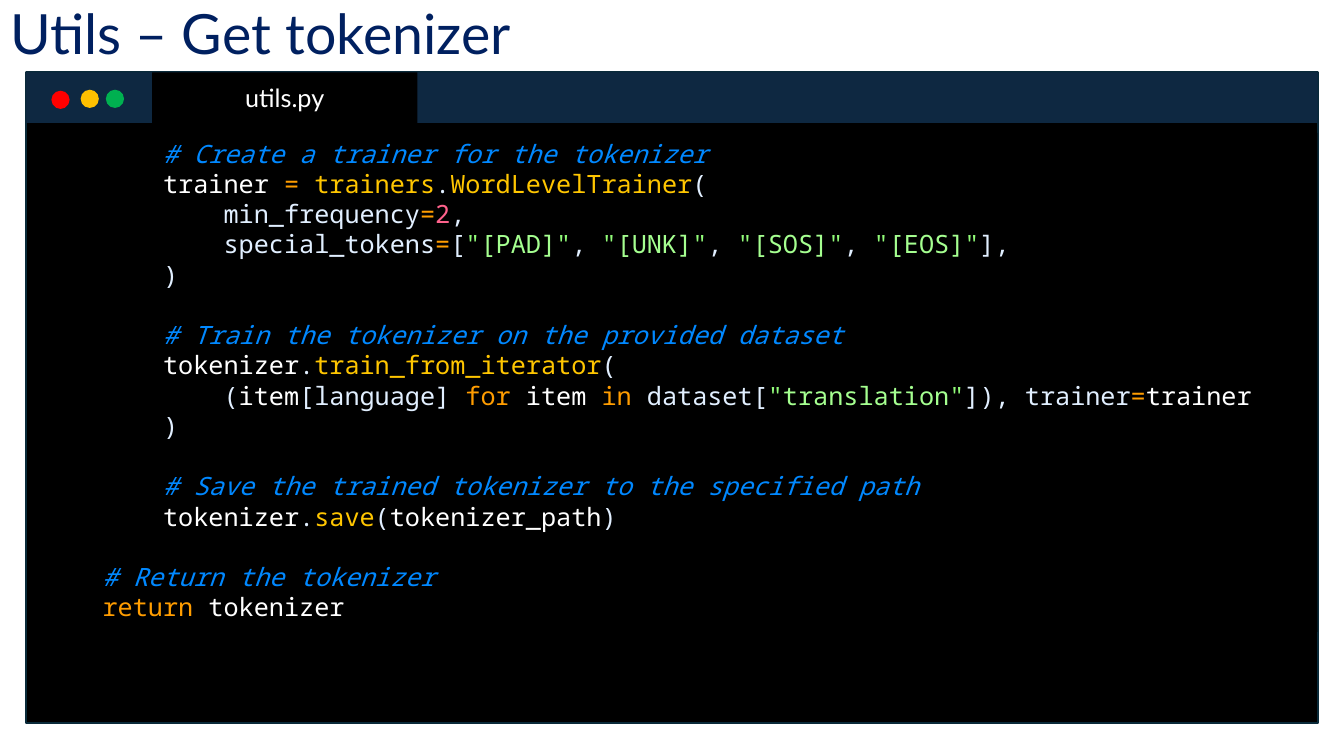
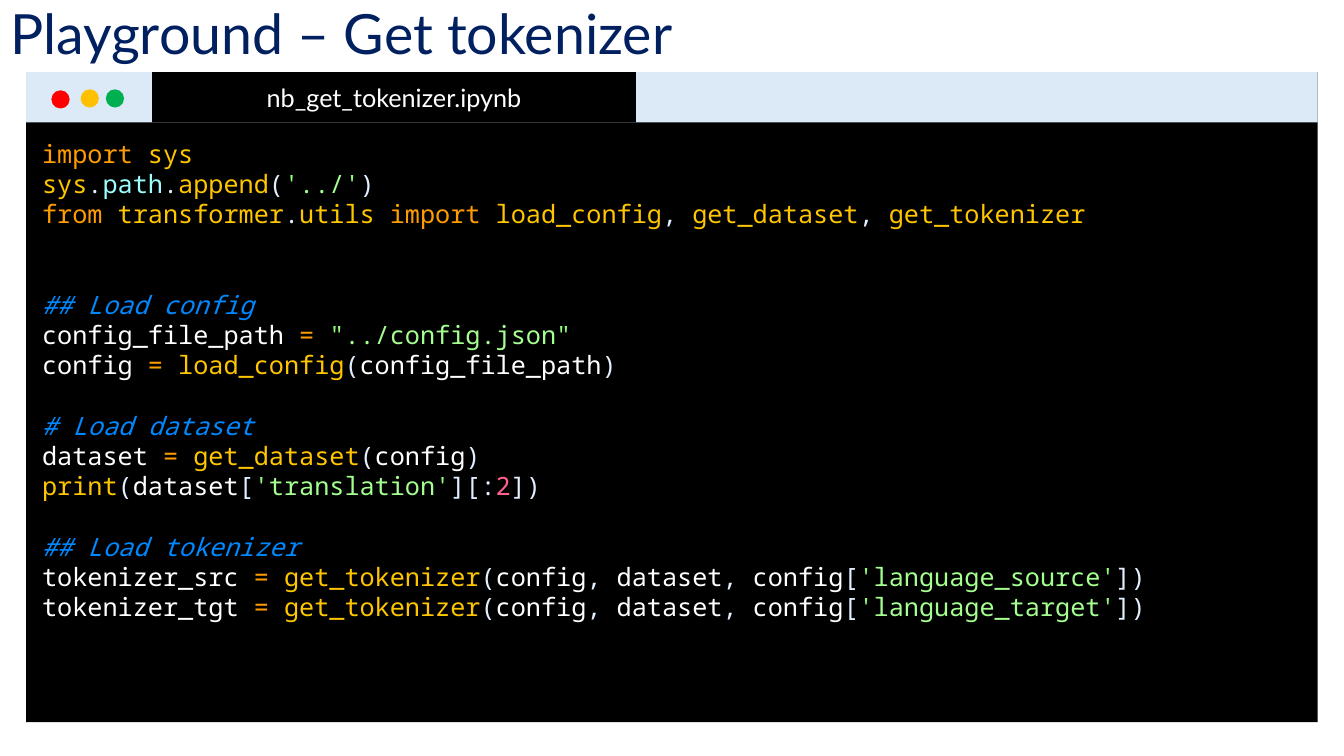
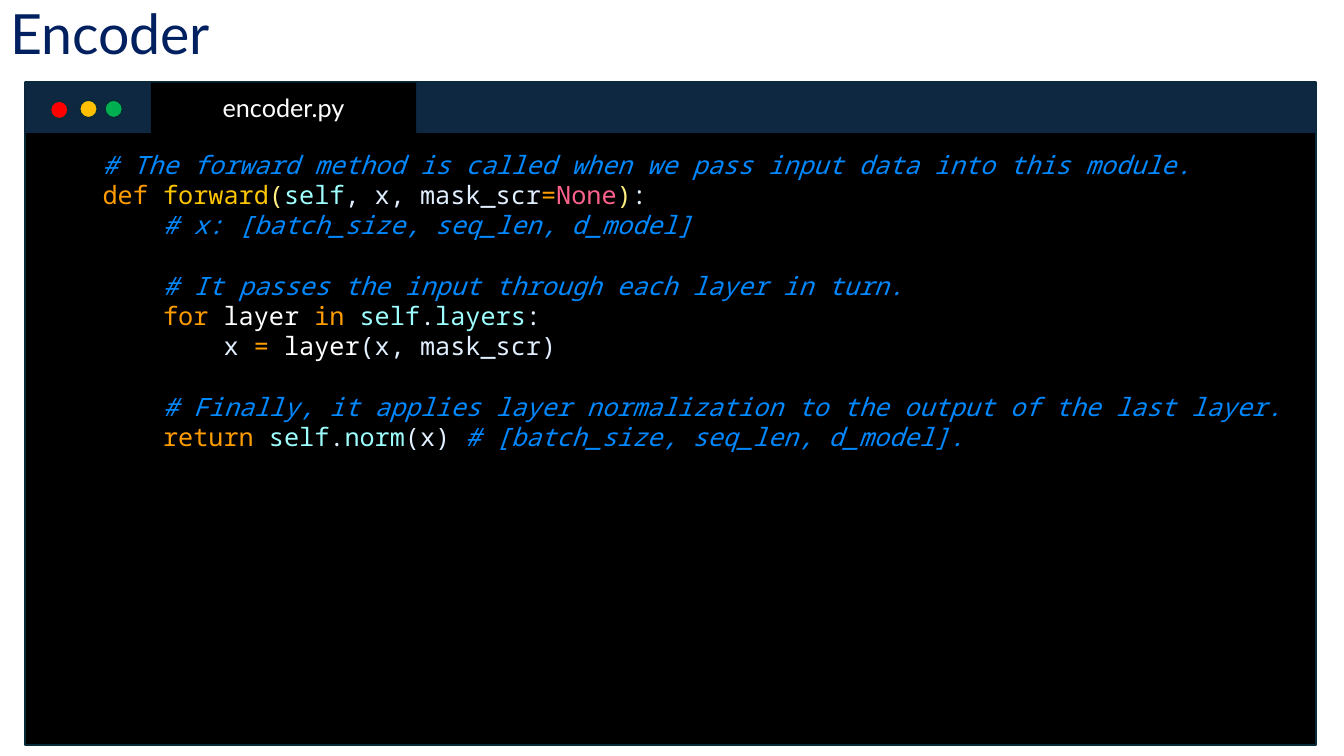
from dataclasses import dataclass
from typing import Any, Iterator, Optional

from pptx import Presentation
from pptx.dml.color import RGBColor
from pptx.enum.shapes import MSO_SHAPE
from pptx.enum.text import MSO_ANCHOR, MSO_AUTO_SIZE, PP_ALIGN
from pptx.util import Pt

BLACK = "000000"
WHITE = "FFFFFF"
NAVY = "0E2841"
PALE_BLUE = "DCEAF7"
BORDER = "092A39"
TITLE_COLOUR = "002060"
QUOTE_COLOUR = "92FC79"
ROLE_COLOURS = {
    "comment": "0088FF",
    "keyword": "FF9D00",
    "function": "FFC600",
    "member": "9EFFFF",
    "name": WHITE,
    "plain": "E1EFFF",
    "bracket": "FFEE80",
    "number": "FF628C",
    "string": "A5FF90",
}

TITLE_FONT = {"name": "Lato", "size": Pt(39.6), "bold": False}
TAB_FONT = {"name": "Lato", "size": Pt(18)}
CODE_FONT = {"name": "Noto Sans Mono", "size": Pt(18)}
TITLE_FRAME = {
    "word_wrap": True,
    "auto_size": MSO_AUTO_SIZE.NONE,
    "vertical_anchor": MSO_ANCHOR.MIDDLE,
}
TAB_FRAME = {"word_wrap": True, "vertical_anchor": MSO_ANCHOR.MIDDLE}
CODE_FRAME = {"word_wrap": True, "vertical_anchor": MSO_ANCHOR.TOP}
LINE_PITCH = 21.6
BAR_HEIGHT = 36
TAB_OFFSET = 90
DOT_SIZE = 13


@dataclass
class Box:
    left: float
    top: float
    width: float
    height: float

    def lengths(self) -> tuple:
        return Pt(self.left), Pt(self.top), Pt(self.width), Pt(self.height)


@dataclass
class Dot:
    left: float
    top: float
    colour: str


@dataclass
class CodeSlide:
    title: str
    title_width: float
    file_name: str
    window: Box
    tab_width: float
    code_box: Box
    code: list
    bar_colour: str = NAVY
    border: Optional[str] = BORDER
    dot_border: Optional[str] = None


DOTS = [
    Dot(18, 13, "FF0000"),
    Dot(38.9, 12.3, "FFC000"),
    Dot(56.9, 12.3, "00B050"),
]

TRAIN_CODE = [
    '        {comment}# Create a trainer for the tokenizer',
    '        {name}trainer {keyword}= {function}trainers{plain}.{function}WordLevelTrainer{plain}(',
    '            {plain}min_frequency{keyword}={number}2{plain},',
    '            {plain}special_tokens{keyword}={plain}[{string}"[PAD]"{plain}, {string}"[UNK]"'
    '{plain}, {string}"[SOS]"{plain}, {string}"[EOS]"{plain}],',
    '        {plain})',
    '',
    '        {comment}# Train the tokenizer on the provided dataset',
    '        {name}tokenizer{plain}.{function}train_from_iterator{plain}(',
    '            {plain}({name}item{plain}[language] {keyword}for {name}item {keyword}in '
    '{plain}dataset[{string}"translation"{plain}]), trainer{keyword}={name}trainer',
    '        {plain})',
    '',
    '        {comment}# Save the trained tokenizer to the specified path',
    '        {name}tokenizer{plain}.{function}save{plain}({name}tokenizer_path{plain})',
    '',
    '    {comment}# Return the tokenizer',
    '    {keyword}return{name} tokenizer',
]

PLAYGROUND_CODE = [
    "{keyword}import {function}sys",
    "{function}sys{plain}.{member}path{plain}.{function}append{plain}({string}'../'{plain})",
    "{keyword}from {function}transformer{plain}.{function}utils {keyword}import "
    "{function}load_config{plain}, {function}get_dataset{plain}, {function}get_tokenizer",
    "",
    "",
    "{comment}## Load config",
    '{name}config_file_path {keyword}= {string}"../config.json"',
    "{name}config {keyword}= {function}load_config{plain}({name}config_file_path{plain})",
    "",
    "{comment}# Load dataset",
    "{name}dataset {keyword}= {function}get_dataset{plain}({name}config{plain})",
    "{function}print{plain}({name}dataset{plain}[{string}'translation'{plain}][:{number}2{plain}])",
    "",
    "{comment}## Load tokenizer",
    "{name}tokenizer_src {keyword}= {function}get_tokenizer{plain}({name}config{plain}, "
    "{name}dataset{plain}, {name}config{plain}[{string}'language_source'{plain}])",
    "{name}tokenizer_tgt {keyword}= {function}get_tokenizer{plain}({name}config{plain}, "
    "{name}dataset{plain}, {name}config{plain}[{string}'language_target'{plain}])",
]

ENCODER_CODE = [
    "    {comment}# The forward method is called when we pass input data into this module.",
    "    {keyword}def {function}forward{bracket}({member}self{plain}, x, mask_scr{keyword}="
    "{number}None{bracket}){plain}:",
    "        {comment}# x: [batch_size, seq_len, d_model]",
    "",
    "        {comment}# It passes the input through each layer in turn.",
    "        {keyword}for{name} layer {keyword}in {member}self{plain}.{member}layers{plain}:",
    "            {plain}x {keyword}={name} layer{plain}(x, mask_scr)",
    "",
    "        {comment}# Finally, it applies layer normalization to the output of the last layer.",
    "        {keyword}return {member}self{plain}.{member}norm{plain}(x) "
    "{comment}# [batch_size, seq_len, d_model].",
]

CODE_SLIDES = [
    CodeSlide(
        "Utils – Get tokenizer", 399.6, "utils.py",
        Box(18.7, 51.8, 922.5, 464.4), 189.4,
        Box(23, 95, 918, 356.4), TRAIN_CODE,
    ),
    CodeSlide(
        "Playground – Get tokenizer", 553.7, "nb_get_tokenizer.ipynb",
        Box(18.7, 51.5, 922.5, 464.4), 345.6,
        Box(23, 95, 910.8, 356.4), PLAYGROUND_CODE,
        bar_colour=PALE_BLUE, border=None,
    ),
    CodeSlide(
        "Encoder", 188.6, "encoder.py",
        Box(17.8, 59, 922.5, 473), 189.4,
        Box(23, 103, 913, 225.4), ENCODER_CODE,
        dot_border=BORDER,
    ),
]


def colour(value: str) -> RGBColor:
    return RGBColor.from_string(value)


def apply(target: Any, values: dict) -> None:
    for attribute, value in values.items():
        setattr(target, attribute, value)


def add_run(paragraph: Any, text: str, font: dict, shade: str, italic: bool = False) -> None:
    run = paragraph.add_run()
    run.text = text
    apply(run.font, {**font, "italic": italic})
    run.font.color.rgb = colour(shade)


def add_block(slide: Any, box: Box, fill: str, border: Optional[str] = None,
              kind: MSO_SHAPE = MSO_SHAPE.RECTANGLE) -> Any:
    shape = slide.shapes.add_shape(kind, *box.lengths())
    shape.shadow.inherit = False
    shape.fill.solid()
    shape.fill.fore_color.rgb = colour(fill)
    if border:
        shape.line.color.rgb = colour(border)
        shape.line.width = Pt(1.5)
    else:
        shape.line.fill.background()
    return shape


def add_title(slide: Any, text: str, width: float) -> None:
    title = slide.shapes.title
    left, top, width, height = Box(0, 6.5, width, 45.4).lengths()
    apply(title, {"left": left, "top": top, "width": width, "height": height})
    apply(title.text_frame, TITLE_FRAME)
    paragraph = title.text_frame.paragraphs[0]
    apply(paragraph, {"alignment": PP_ALIGN.LEFT, "line_spacing": 0.7, "space_before": Pt(0)})
    add_run(paragraph, text, TITLE_FONT, TITLE_COLOUR)


def add_window(slide: Any, content: CodeSlide) -> None:
    window = content.window
    add_block(slide, window, BLACK, content.border)
    add_block(slide, Box(window.left, window.top, window.width, BAR_HEIGHT), content.bar_colour)
    tab_box = Box(window.left + TAB_OFFSET, window.top, content.tab_width, BAR_HEIGHT)
    tab = add_block(slide, tab_box, BLACK)
    apply(tab.text_frame, TAB_FRAME)
    paragraph = tab.text_frame.paragraphs[0]
    paragraph.alignment = PP_ALIGN.CENTER
    add_run(paragraph, content.file_name, TAB_FONT, WHITE)
    for dot in DOTS:
        dot_box = Box(window.left + dot.left, window.top + dot.top, DOT_SIZE, DOT_SIZE)
        add_block(slide, dot_box, dot.colour, content.dot_border, MSO_SHAPE.OVAL)


def code_runs(line: str) -> Iterator[tuple]:
    indent, *chunks = line.split("{")
    for chunk in chunks:
        role, _, text = chunk.partition("}")
        shade = ROLE_COLOURS[role]
        if role == "string":
            yield text[0], QUOTE_COLOUR, False
            yield text[1:-1], shade, False
            yield text[-1], QUOTE_COLOUR, False
        else:
            yield indent + text, shade, role == "comment"
        indent = ""


def add_code(slide: Any, box: Box, lines: list) -> None:
    frame = add_block(slide, box, BLACK).text_frame
    apply(frame, CODE_FRAME)
    paragraph = frame.paragraphs[0]
    gap = 0
    for number, line in enumerate(lines):
        if not line:
            gap += 1
            continue
        if number:
            paragraph = frame.add_paragraph()
        apply(paragraph, {
            "alignment": PP_ALIGN.LEFT,
            "line_spacing": Pt(LINE_PITCH),
            "space_before": Pt(gap * LINE_PITCH),
        })
        for text, shade, italic in code_runs(line):
            add_run(paragraph, text, CODE_FONT, shade, italic)
        gap = 0


def main() -> None:
    presentation = Presentation()
    apply(presentation, {"slide_width": Pt(960), "slide_height": Pt(540)})
    title_only = presentation.slide_layouts[5]
    for content in CODE_SLIDES:
        slide = presentation.slides.add_slide(title_only)
        add_title(slide, content.title, content.title_width)
        add_window(slide, content)
        add_code(slide, content.code_box, content.code)
    presentation.save("out.pptx")


if __name__ == "__main__":
    main()
